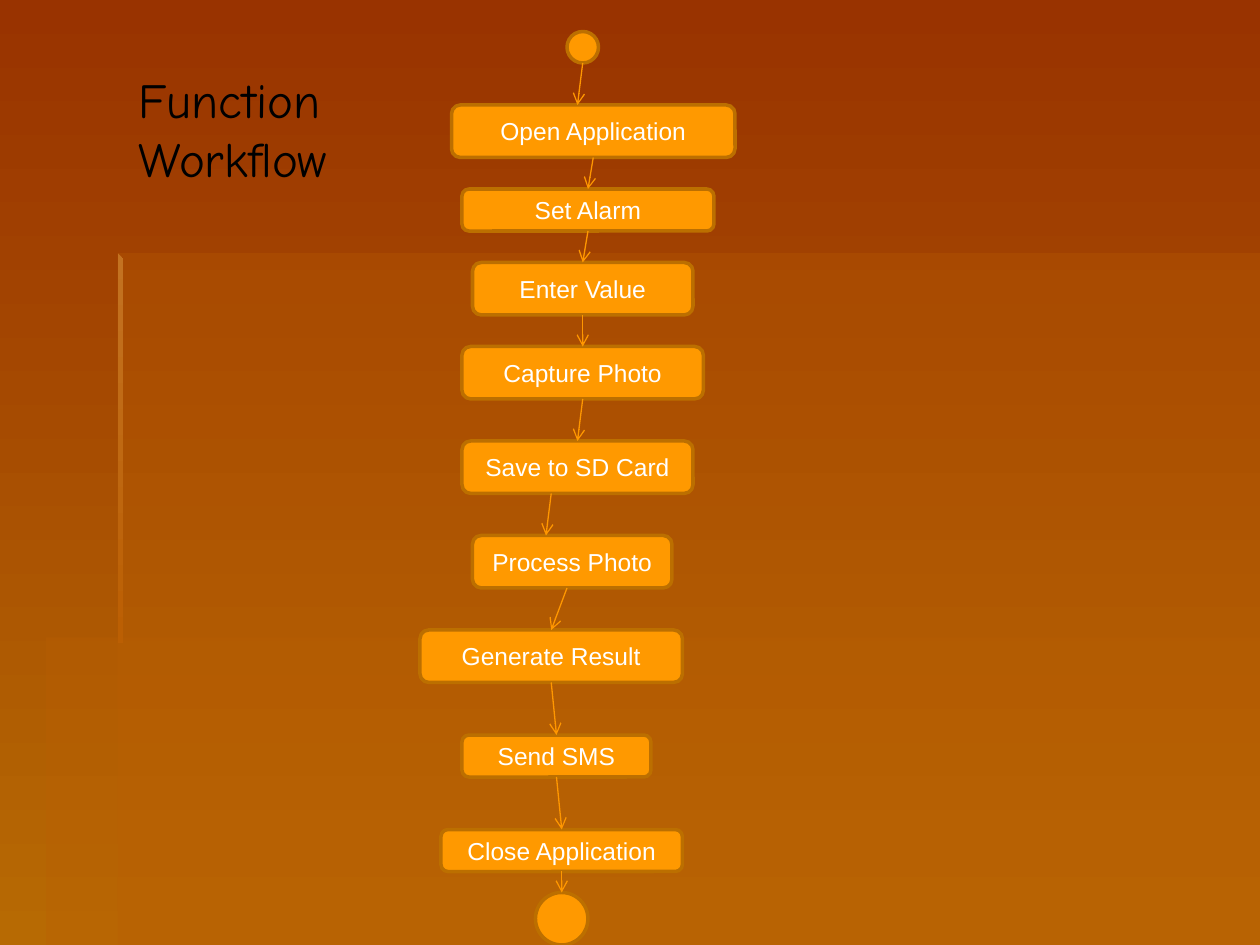
from lxml import etree
from pptx import Presentation
from pptx import util as u
from pptx.dml.color import RGBColor
from pptx.enum import shapes, text
from pptx.oxml.ns import qn

COLUMNS, ROWS = 120, 90
CELL = u.Inches(10) // COLUMNS

RUST = RGBColor(0x99, 0x33, 0x00)
AMBER = RGBColor(0xB7, 0x6A, 0x03)
PANEL = RGBColor(0xBB, 0x5F, 0x03)
EDGE = RGBColor(0xC3, 0x72, 0x21)
ORANGE = RGBColor(0xFF, 0x99, 0x00)
BORDER = RGBColor(0xBC, 0x6F, 0x00)
ARROW = RGBColor(0xFF, 0x97, 0x00)
WHITE = RGBColor(0xFF, 0xFF, 0xFF)
BLACK = RGBColor(0x00, 0x00, 0x00)

# Label, left column, top row, columns wide, rows high
STEPS = [
    ("Open Application", 43, 10, 27, 5),
    ("Set Alarm", 44, 18, 24, 4),
    ("Enter Value", 45, 25, 21, 5),
    ("Capture Photo", 44, 33, 23, 5),
    ("Save to SD Card", 44, 42, 22, 5),
    ("Process Photo", 45, 51, 19, 5),
    ("Generate Result", 40, 60, 25, 5),
    ("Send SMS", 44, 70, 18, 4),
    ("Close Application", 42, 79, 23, 4),
]
START = (54, 3, 3, 3)
END = (51, 85, 5, 5)
# Columns of arrow ends that miss the middle of a side, by index of the arrow
OFF_CENTRE_FROM = {5: 52.5, 6: 54}
OFF_CENTRE_TO = {0: 55, 5: 52}


def grid(*cells):
    return [u.Emu(round(cell * CELL)) for cell in cells]


def fill_gradient(fill, top, bottom):
    fill.gradient()
    fill.gradient_angle = 270
    for stop, colour in zip(fill.gradient_stops, (top, bottom)):
        stop.color.rgb = colour


def add_outline(page, points):
    start, *rest = [grid(*point) for point in points]
    builder = page.shapes.build_freeform(*start, scale=1.0)
    builder.add_line_segments(rest, close=True)
    outline = builder.convert_to_shape()
    outline.shadow.inherit = False
    outline.line.fill.background()
    return outline


def add_backdrop(page):
    fill_gradient(page.background.fill, RUST, AMBER)
    left, step, top, middle = 11.2, 4.4, 24.1, 60.7
    panels = [
        [(left, middle), (left, ROWS), (COLUMNS, ROWS), (COLUMNS, middle)],
        [(left, middle), (step, middle), (step, ROWS), (COLUMNS, ROWS),
         (COLUMNS, top), (left, top)],
    ]
    for points in panels:
        panel = add_outline(page, points)
        panel.fill.solid()
        panel.fill.fore_color.rgb = PANEL
        colour = panel.fill._xPr.find(".//" + qn("a:srgbClr"))
        etree.SubElement(colour, qn("a:alpha"), val="29000")
    strip = add_outline(page, [(left, top), (left, 61.2), (left + 0.5, 61.2),
                               (left + 0.5, top + 0.5)])
    fill_gradient(strip.fill, EDGE, PANEL)


def add_title(page, box):
    title = page.shapes.title
    title.left, title.top, title.width, title.height = grid(*box)
    frame = title.text_frame
    frame.text = "Function\nWorkflow"
    frame.word_wrap = True
    frame.auto_size = text.MSO_AUTO_SIZE.SHAPE_TO_FIT_TEXT
    frame.vertical_anchor = text.MSO_ANCHOR.TOP
    for para in frame.paragraphs:
        para.alignment = text.PP_ALIGN.LEFT
        para.font.name = "Comic Neue"
        para.font.size = u.Pt(28)
        para.font.color.rgb = BLACK


def add_node(page, kind, box, label=""):
    node = page.shapes.add_shape(kind, *grid(*box))
    node.shadow.inherit = False
    node.fill.solid()
    node.fill.fore_color.rgb = ORANGE
    node.line.color.rgb = BORDER
    node.line.width = u.Pt(2)
    if label:
        node.text_frame.word_wrap = True
        node.text_frame.vertical_anchor = text.MSO_ANCHOR.MIDDLE
        para = node.text_frame.paragraphs[0]
        para.text = label
        para.alignment = text.PP_ALIGN.CENTER
        para.font.name = "Arial"
        para.font.size = u.Pt(14)
        para.font.color.rgb = WHITE
    return node


def add_arrow(page, index, source, target):
    """Join the bottom of source to the top of target, glued where centred."""
    start_x = source.left + source.width // 2
    end_x = target.left + target.width // 2
    if index in OFF_CENTRE_FROM:
        start_x, = grid(OFF_CENTRE_FROM[index])
    if index in OFF_CENTRE_TO:
        end_x, = grid(OFF_CENTRE_TO[index])
    arrow = page.shapes.add_connector(
        shapes.MSO_CONNECTOR.STRAIGHT,
        start_x, source.top + source.height, end_x, target.top)
    # Side 2 is the bottom of a rectangle only, so the start circle stays free
    if index > 0 and index not in OFF_CENTRE_FROM:
        arrow.begin_connect(source, 2)
    if index not in OFF_CENTRE_TO:
        arrow.end_connect(target, 0)
    arrow.line.color.rgb = ARROW
    arrow.line.width = u.Pt(0.75)
    etree.SubElement(arrow.line._get_or_add_ln(), qn("a:tailEnd"), type="arrow")
    etree.SubElement(arrow._element.spPr, qn("a:effectLst"))


def add_workflow(page):
    circle = shapes.MSO_SHAPE.OVAL
    nodes = [add_node(page, circle, START)]
    for label, *box in STEPS:
        nodes.append(add_node(page, shapes.MSO_SHAPE.ROUNDED_RECTANGLE, box, label))
    nodes.append(add_node(page, circle, END))
    for index, (source, target) in enumerate(zip(nodes, nodes[1:])):
        add_arrow(page, index, source, target)


def main():
    deck = Presentation()
    deck.slide_width, deck.slide_height = grid(COLUMNS, ROWS)
    page = deck.slides.add_slide(deck.slide_layouts[5])
    add_backdrop(page)
    add_workflow(page)
    add_title(page, (12, 6, 27, 12.5))
    deck.save("out.pptx")


if __name__ == "__main__":
    main()
